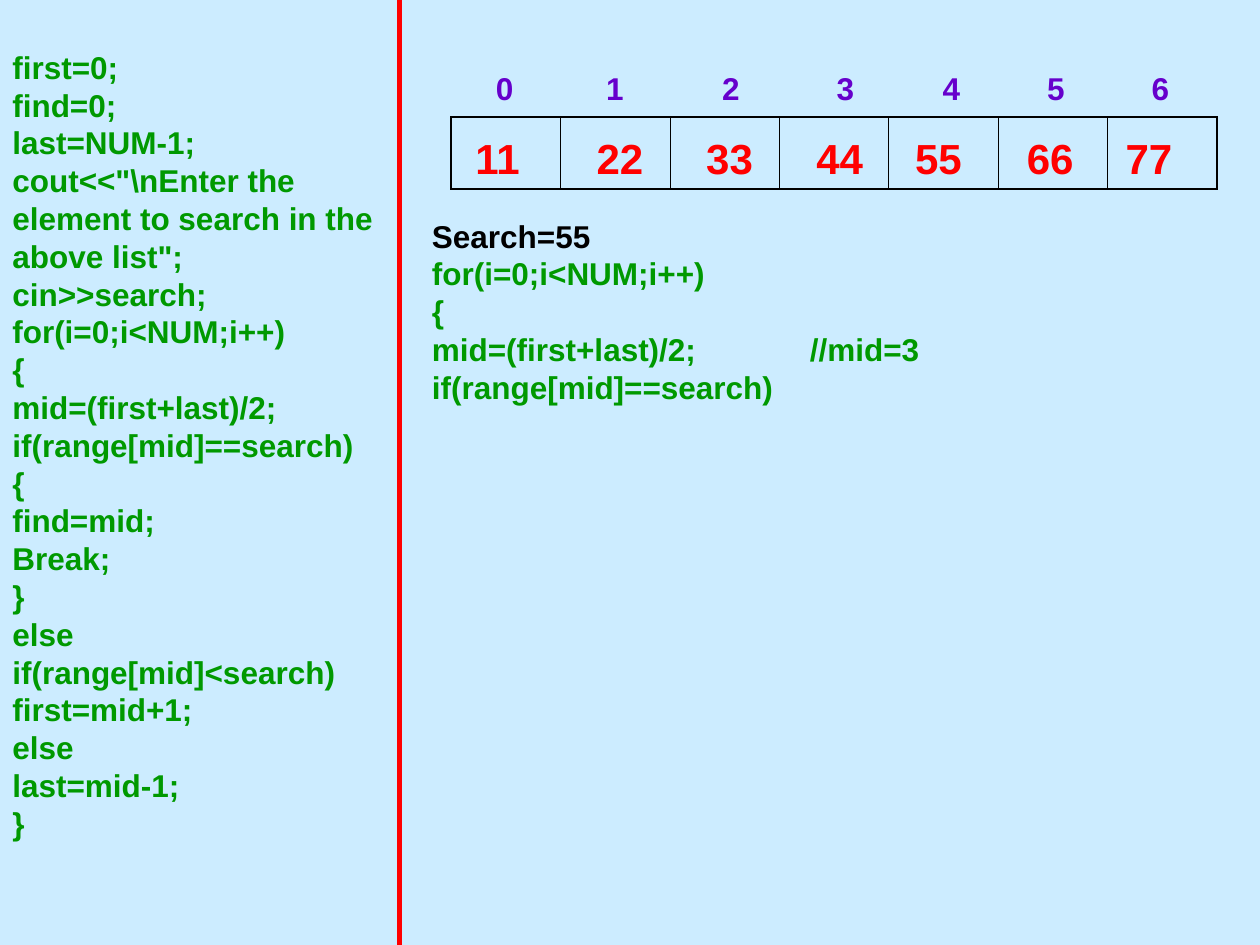
from dataclasses import dataclass

from lxml.etree import SubElement
from pptx import Presentation
from pptx.dml.color import RGBColor
from pptx.enum.shapes import MSO_CONNECTOR
from pptx.enum.text import MSO_AUTO_SIZE, PP_ALIGN
from pptx.oxml.ns import qn
from pptx.util import Inches, Pt


@dataclass(frozen=True)
class Theme:
    font: str = "Arial"
    background: RGBColor = RGBColor(0xCC, 0xEC, 0xFF)
    index: RGBColor = RGBColor(0x66, 0x00, 0xCC)
    accent: RGBColor = RGBColor(0xFF, 0x00, 0x00)
    code: RGBColor = RGBColor(0x00, 0x99, 0x00)
    ink: RGBColor = RGBColor(0x00, 0x00, 0x00)
    text_size: int = 18
    value_size: int = 24
    outer_border: float = 1.08
    inner_border: float = 0.45
    divider: int = 3


@dataclass(frozen=True)
class Label:
    text: str
    left: float
    width: float


@dataclass(frozen=True)
class Line:
    text: str
    color: RGBColor


THEME = Theme()
ROW_LEFT, ROW_TOP, ROW_WIDTH, ROW_HEIGHT = 3.58, 0.93, 6.08, 0.57
CODE_TAB = 3

INDEXES = [
    Label("0 ", 3.58, 0.92),
    Label("1 ", 4.5, 0.83),
    Label("2 ", 5.42, 0.83),
    Label("3", 6.25, 0.92),
    Label("4 ", 7.17, 0.83),
    Label("5", 7.92, 0.92),
    Label("6 ", 8.83, 0.83),
]
VALUES = [
    Label("11 ", 3.58, 0.83),
    Label("22", 4.42, 1),
    Label("33", 5.33, 0.92),
    Label("44", 6.25, 0.83),
    Label("55 ", 7.08, 0.83),
    Label("66", 7.92, 0.83),
    Label("77 ", 8.75, 0.83),
]
PROGRAM = r'''first=0;
find=0;
last=NUM-1;
cout<<"\nEnter the element to search in the above list";
cin>>search;
for(i=0;i<NUM;i++)
{
mid=(first+last)/2;
if(range[mid]==search)
{
find=mid;
Break;
}
else
if(range[mid]<search)
first=mid+1;
else
last=mid-1;
}'''
TRACE = """for(i=0;i<NUM;i++)
{
mid=(first+last)/2;\t//mid=3
if(range[mid]==search)"""


def code_lines(source: str) -> list[Line]:
    return [Line(text, THEME.code) for text in source.splitlines()]


def add_tab_stop(p, position: float) -> None:
    tabs = SubElement(p._p.get_or_add_pPr(), qn("a:tabLst"))
    SubElement(tabs, qn("a:tab"), pos=str(Inches(position)), algn="l")


def add_text(slide, left: float, top: float, width: float, height: float,
             lines: list[Line], size: int = THEME.text_size,
             align: PP_ALIGN = PP_ALIGN.LEFT) -> None:
    box = slide.shapes.add_textbox(*map(Inches, (left, top, width, height)))
    tf = box.text_frame
    tf.word_wrap = True
    tf.auto_size = MSO_AUTO_SIZE.SHAPE_TO_FIT_TEXT
    for i, line in enumerate(lines):
        p = tf.paragraphs[0] if i == 0 else tf.add_paragraph()
        p.alignment = align
        if "\t" in line.text:
            add_tab_stop(p, CODE_TAB)
        r = p.add_run()
        r.text = line.text
        for name, value in {"name": THEME.font, "size": Pt(size), "bold": True}.items():
            setattr(r.font, name, value)
        r.font.color.rgb = line.color


def add_labels(slide, labels: list[Label], top: float, height: float,
               size: int, color: RGBColor) -> None:
    for label in labels:
        add_text(slide, label.left, top, label.width, height,
                 [Line(label.text, color)], size, PP_ALIGN.CENTER)


def set_borders(cell, widths: dict[str, float]) -> None:
    """Draw the cell's sides; the border elements must precede its fill."""
    tc_pr = cell._tc.get_or_add_tcPr()
    for side, width in widths.items():
        ln = SubElement(tc_pr, qn(f"a:{side}"), w=str(Pt(width)))
        fill = SubElement(ln, qn("a:solidFill"))
        SubElement(fill, qn("a:srgbClr"), val=str(THEME.ink))


def add_array_row(slide, count: int) -> None:
    frame = slide.shapes.add_table(
        1, count, *map(Inches, (ROW_LEFT, ROW_TOP, ROW_WIDTH, ROW_HEIGHT)))
    table = frame.table
    table.first_row = table.horz_banding = False
    outer, inner = THEME.outer_border, THEME.inner_border
    for i in range(count):
        cell = table.cell(0, i)
        set_borders(cell, {
            "lnL": outer if i == 0 else inner,
            "lnR": outer if i == count - 1 else inner,
            "lnT": outer,
            "lnB": outer,
        })
        cell.fill.background()


def add_divider(slide, x: float, height: float) -> None:
    line = slide.shapes.add_connector(
        MSO_CONNECTOR.STRAIGHT, *map(Inches, (x, 0, x, height)))
    line.line.color.rgb = THEME.accent
    line.line.width = Pt(THEME.divider)
    SubElement(line._element.spPr, qn("a:effectLst"))


def main() -> None:
    prs = Presentation()
    prs.slide_width, prs.slide_height = Inches(10), Inches(7.5)
    slide = prs.slides.add_slide(prs.slide_layouts.get_by_name("Blank"))
    bg = slide.background.fill
    bg.solid()
    bg.fore_color.rgb = THEME.background

    add_array_row(slide, len(VALUES))
    add_labels(slide, INDEXES, 0.5, 0.4, THEME.text_size, THEME.index)
    add_labels(slide, VALUES, 1, 0.5, THEME.value_size, THEME.accent)
    add_text(slide, 0, 0.33, 3.33, 6.86, code_lines(PROGRAM))
    add_divider(slide, 3.17, 7.5)
    add_text(slide, 3.33, 1.67, 6.33, 2.06,
             [Line("Search=55", THEME.ink), *code_lines(TRACE)])
    prs.save("out.pptx")


if __name__ == "__main__":
    main()
